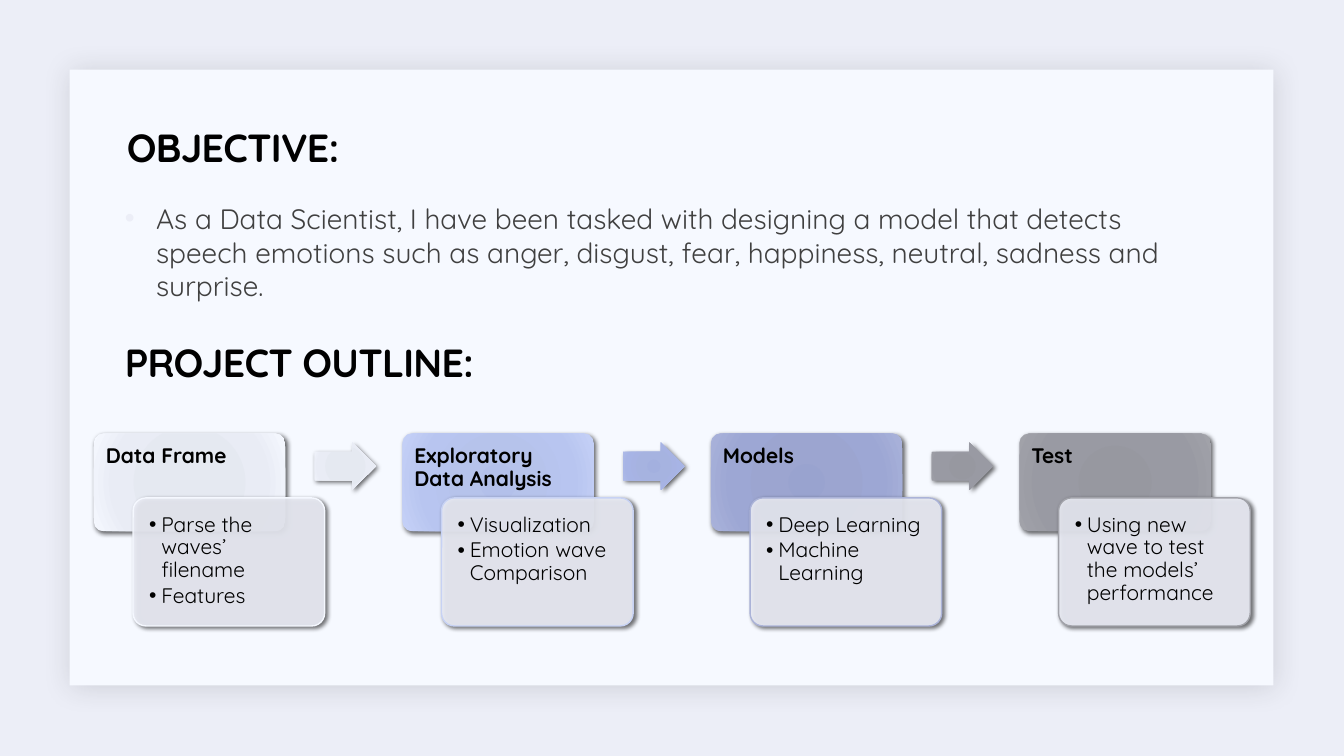
from lxml import etree
from pptx import Presentation
from pptx import util as u
from pptx.dml.color import RGBColor
from pptx.enum import shapes, text
from pptx.oxml.ns import qn

WIDE, HIGH = 13.33, 7.5
FONT = "Quicksand"
BLACK = RGBColor(0x00, 0x00, 0x00)
GRAY = RGBColor(0x40, 0x40, 0x40)
MIST = RGBColor(0xEC, 0xEE, 0xF7)
PANEL = RGBColor(0xF6, 0xF9, 0xFF)
INK = RGBColor(0x1F, 0x21, 0x25)


def ramp(*codes):
    return [RGBColor.from_string(code) for code in codes]


PALE = ramp("E3E7EF", "E5E9F1", "E9ECF5", "F5F8FF")
SKY = ramp("B3C0EA", "B6C3EB", "B8C5F0", "C5D1F7")
BLUE = ramp("A3B0DF", "A6B3E0", "A7B4E5", "B4C0EB")
PLUM = ramp("99A3CF", "9CA5D0", "9DA7D4", "A9B2DA")
ASH = ramp("95969F", "9798A0", "999AA3", "A1A2A9")
STOPS = (0, 34, 70, 100)

# Step grid: first column, column pitch, head row, note row
LEFT, PITCH, TOP, LOW = 0.93, 3.06, 4.3, 4.94
CARD = 1.9

# Heading, head colours, note edge, arrow colours, points
STEPS = [
    ("Data Frame", PALE, PALE[3], PALE,
     ["Parse the waves’ filename", "Features"]),
    ("Exploratory Data Analysis", SKY, RGBColor(0xC7, 0xD2, 0xF4), BLUE,
     ["Visualization", "Emotion wave Comparison"]),
    ("Models", PLUM, RGBColor(0xAB, 0xB3, 0xD8), ASH,
     ["Deep Learning", "Machine Learning"]),
    ("Test", ASH, ASH[3], None,
     ["Using new wave to test the models’ performance"]),
]


def add(parent, tag, **attrs):
    node = etree.SubElement(parent, qn(tag))
    for name, value in attrs.items():
        node.set(name, str(value))
    return node


def tint(parent, color, alpha=100):
    node = add(parent, "a:srgbClr", val=color)
    if alpha < 100:
        add(node, "a:alpha", val=alpha * 1000)


def glow(shape, colors):
    """Fill the shape with a round gradient."""
    shape.fill.background()
    blank = shape.element.spPr.find(qn("a:noFill"))
    grad = etree.Element(qn("a:gradFill"), rotWithShape="1")
    stops = add(grad, "a:gsLst")
    for stop, color in zip(STOPS, colors):
        tint(add(stops, "a:gs", pos=stop * 1000), color)
    path = add(grad, "a:path", path="circle")
    add(path, "a:fillToRect", **dict.fromkeys("ltrb", 100000))
    blank.getparent().replace(blank, grad)


def shade(shape, color, alpha, blur, dist=2):
    """Cast a shadow to the lower right."""
    shape.shadow.inherit = False
    drop = add(shape.element.spPr.find(qn("a:effectLst")), "a:outerShdw",
               blurRad=u.Pt(blur), dist=u.Pt(dist), dir=45 * 60000,
               algn="ctr", rotWithShape=0)
    tint(drop, color, alpha)


def block(slide, kind, box, *adjust):
    shape = slide.shapes.add_shape(kind, *map(u.Inches, box))
    for spot, value in enumerate(adjust):
        shape.adjustments[spot] = value
    shape.line.fill.background()
    return shape


def words(slide, box, lines, size, color=BLACK, bold=False, inset=None,
          line=1.0, before=0, after=0, anchor=text.MSO_ANCHOR.TOP):
    frame = slide.shapes.add_textbox(*map(u.Inches, box)).text_frame
    frame.word_wrap = True
    frame.vertical_anchor = anchor
    if inset:
        frame.margin_left = frame.margin_right = u.Inches(inset)
        frame.margin_top = u.Inches(inset)
    frame.text = "\n".join(lines)
    for para in frame.paragraphs:
        font = para.font
        font.name, font.size, font.bold = FONT, u.Pt(size), bold
        font.color.rgb = color
        para.line_spacing = line
        para.space_before, para.space_after = u.Pt(before), u.Pt(after)
    return frame.paragraphs


def bullet(paras, indent, color):
    for para in paras:
        props = para._p.get_or_add_pPr()
        props.set("marL", str(u.Inches(indent)))
        props.set("indent", str(-u.Inches(indent)))
        marks = [etree.Element(qn("a:buClr")),
                 etree.Element(qn("a:buFont"), typeface="Arial"),
                 etree.Element(qn("a:buChar"), char="•")]
        tint(marks[0], color)
        last = props.find(qn("a:defRPr"))
        for mark in marks:
            last.addprevious(mark)


def title(slide, box, line):
    para, = words(slide, box, [line], 28, bold=True, line=0.9,
                  anchor=text.MSO_ANCHOR.MIDDLE)
    para.runs[0].font._element.set("spc", "-50")


def step(slide, col, name, colors, edge, arrow, points):
    kind = shapes.MSO_SHAPE
    left = LEFT + col * PITCH
    head = block(slide, kind.ROUNDED_RECTANGLE, (left, TOP, CARD, 0.97), 0.1)
    glow(head, colors)
    shade(head, BLACK, 60, 3.5)
    words(slide, (left, TOP, CARD, 0.64), [name], 15, bold=True,
          inset=0.12, line=0.9, after=5)

    note = block(slide, kind.ROUNDED_RECTANGLE,
                 (left + 0.39, LOW, CARD, 1.27), 0.1)
    note.fill.solid()
    note.fill.fore_color.rgb = MIST
    add(note.element.spPr.find(qn("a:solidFill"))[0], "a:alpha", val=90000)
    note.line.color.rgb, note.line.width = edge, u.Pt(1)
    shade(note, BLACK, 60, 3)
    paras = words(slide, (left + 0.43, LOW + 0.04, 1.83, 1.2), points, 15,
                  inset=0.12, line=0.9, after=2.2)
    bullet(paras, 0.12, BLACK)

    if arrow:
        point = block(slide, kind.RIGHT_ARROW,
                      (left + 2.19, TOP + 0.09, 0.61, 0.47), 0.6, 0.5)
        glow(point, arrow)
        shade(point, BLACK, 60, 3.5)


def main():
    deck = Presentation()
    deck.slide_width, deck.slide_height = u.Inches(WIDE), u.Inches(HIGH)
    slide = deck.slides.add_slide(deck.slide_layouts[6])
    slide.background.fill.solid()
    slide.background.fill.fore_color.rgb = MIST

    panel = block(slide, shapes.MSO_SHAPE.RECTANGLE,
                  (0.69, 0.69, 11.94, 6.11))
    panel.fill.solid()
    panel.fill.fore_color.rgb = PANEL
    shade(panel, INK, 15, 20)

    title(slide, (1.16, 1.03, 10.93, 0.92), "OBJECTIVE:")
    goal = words(slide, (1.14, 1.95, 11.07, 1.19), [
        "As a Data Scientist, I have been tasked with designing a model that "
        "detects speech emotions such as anger, disgust, fear, happiness, "
        "neutral, sadness and surprise."], 20, GRAY, before=12, after=2)
    bullet(goal, 0.31, MIST)
    title(slide, (1.14, 3.07, 11, 1.09), "PROJECT OUTLINE:")
    for col, parts in enumerate(STEPS):
        step(slide, col, *parts)
    deck.save("out.pptx")


if __name__ == "__main__":
    main()
